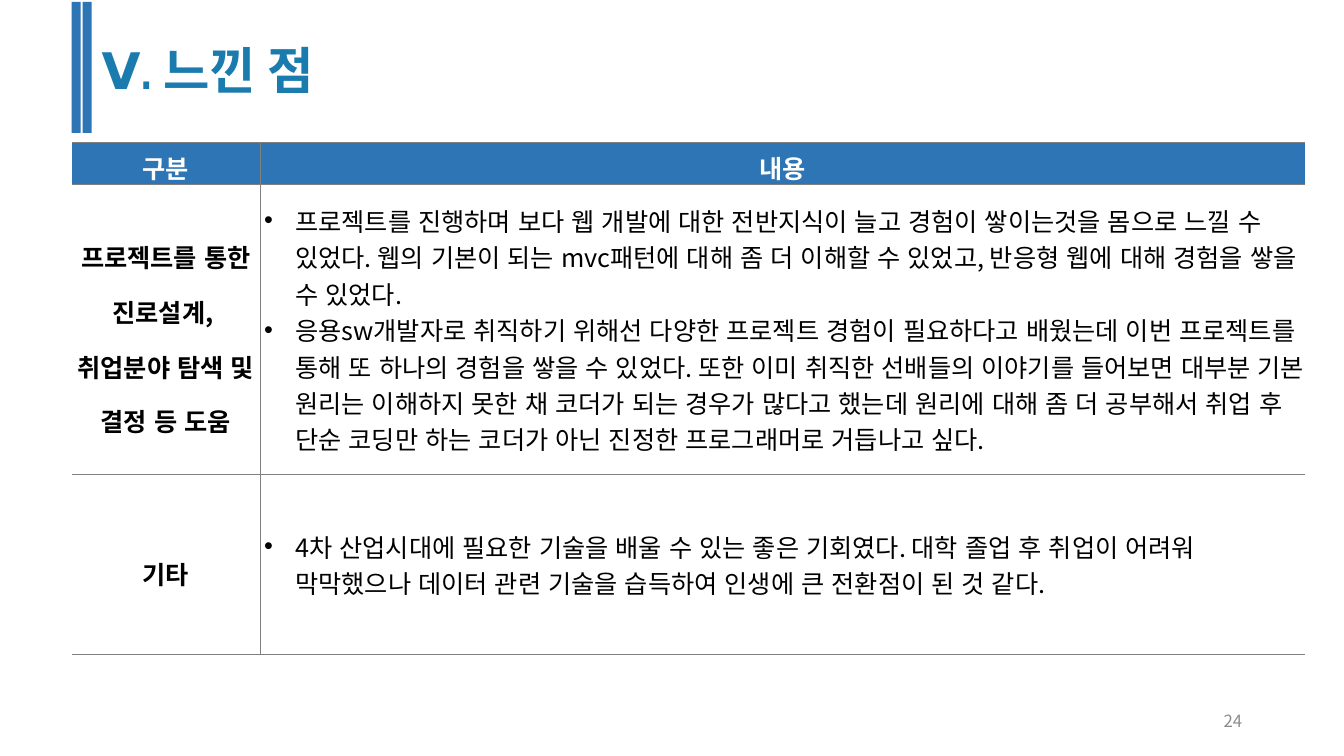
from dataclasses import dataclass

from lxml import etree
from pptx import Presentation
from pptx.dml.color import RGBColor
from pptx.enum.lang import MSO_LANGUAGE_ID
from pptx.enum.shapes import MSO_SHAPE
from pptx.enum.text import MSO_ANCHOR, MSO_AUTO_SIZE, PP_ALIGN
from pptx.oxml.ns import qn
from pptx.util import Inches, Pt

RECT = MSO_SHAPE.RECTANGLE
MIDDLE = MSO_ANCHOR.MIDDLE
GROW = MSO_AUTO_SIZE.SHAPE_TO_FIT_TEXT
CENTER, RIGHT = PP_ALIGN.CENTER, PP_ALIGN.RIGHT
KOREAN = MSO_LANGUAGE_ID.KOREAN


@dataclass(frozen=True)
class Theme:
    head: str = "Arial Narrow"
    body: str = "Noto Sans CJK KR"
    title: str = "1A7BAE"
    blue: str = "2E75B6"
    white: str = "FFFFFF"
    black: str = "000000"
    gray: str = "8C8C8C"
    rule: str = "808080"
    big: int = 36
    mid: int = 18
    small: int = 12
    line: float = 0.5


THEME = Theme()

HEADS = ["구분", "내용"]
ROWS = [
    (
        ["프로젝트를 통한 진로설계, ", "취업분야 탐색 및 결정 등 도움"],
        [
            "프로젝트를 진행하며 보다 웹 개발에 대한 전반지식이 늘고 경험이 쌓이는것을 몸으로 느낄 수 있었다. "
            "웹의 기본이 되는 mvc패턴에 대해 좀 더 이해할 수 있었고, 반응형 웹에 대해 경험을 쌓을 수 있었다.",
            "응용sw개발자로 취직하기 위해선 다양한 프로젝트 경험이 필요하다고 배웠는데 이번 프로젝트를 통해 "
            "또 하나의 경험을 쌓을 수 있었다. 또한 이미 취직한 선배들의 이야기를 들어보면 대부분 기본 원리는 "
            "이해하지 못한 채 코더가 되는 경우가 많다고 했는데 원리에 대해 좀 더 공부해서 취업 후 단순 코딩만 "
            "하는 코더가 아닌 진정한 프로그래머로 거듭나고 싶다.",
        ],
    ),
    (
        ["기타"],
        [
            "4차 산업시대에 필요한 기술을 배울 수 있는 좋은 기회였다. 대학 졸업 후 취업이 어려워 "
            "막막했으나 데이터 관련 기술을 습득하여 인생에 큰 전환점이 된 것 같다.",
        ],
    ),
]


def add_run(para, text, size, color, bold=False, face=THEME.body):
    run = para.add_run()
    run.text = text
    font = run.font
    font.size, font.bold, font.name = Pt(size), bold, face
    font.language_id = KOREAN
    font.color.rgb = RGBColor.from_string(color)
    etree.SubElement(run._r.get_or_add_rPr(), qn("a:ea"), typeface=face)


def add_text(slide, box, text, size, color, bold=False, face=THEME.body):
    shape = slide.shapes.add_textbox(*map(Inches, box))
    frame = shape.text_frame
    frame.word_wrap = True
    add_run(frame.paragraphs[0], text, size, color, bold, face)
    return frame


def add_title(slide, box, text):
    left, top, width, height = box
    for step in range(2):
        bar = slide.shapes.add_shape(
            RECT, Inches(left + step * 0.11), Inches(top), Inches(0.09), Inches(height)
        )
        bar.shadow.inherit = False
        bar.fill.solid()
        bar.fill.fore_color.rgb = RGBColor.from_string(THEME.blue)
        bar.line.fill.background()
    area = (left + 0.2, top + 0.32, width - 0.2, 0.71)
    frame = add_text(slide, area, text, THEME.big, THEME.title, True, THEME.head)
    frame.auto_size = GROW


def set_edges(cell, shown):
    props = cell._tc.get_or_add_tcPr()
    for side in "LRTB":
        edge = etree.SubElement(props, qn("a:ln" + side), w=str(Pt(THEME.line)))
        if side in shown:
            fill = etree.SubElement(edge, qn("a:solidFill"))
            etree.SubElement(fill, qn("a:srgbClr"), val=THEME.rule)
        else:
            etree.SubElement(edge, qn("a:noFill"))


def add_bullet(para):
    props = para._p.get_or_add_pPr()
    props.set("marL", str(Inches(0.31)))
    props.set("indent", str(Inches(-0.31)))
    etree.SubElement(props, qn("a:buFont"), typeface="Arial")
    etree.SubElement(props, qn("a:buChar"), char="•")


def fill_cell(cell, lines, col, head):
    listed = col == 1 and not head
    set_edges(cell, "LTB" if col else "RTB")
    cell.vertical_anchor = MIDDLE
    cell.margin_left = Inches(0.04 if listed else 0)
    cell.margin_right = cell.margin_top = cell.margin_bottom = 0
    if head:
        cell.fill.solid()
        cell.fill.fore_color.rgb = RGBColor.from_string(THEME.blue)
    else:
        cell.fill.background()
    frame = cell.text_frame
    for i, text in enumerate(lines):
        para = frame.add_paragraph() if i else frame.paragraphs[0]
        if listed:
            add_bullet(para)
        else:
            para.alignment = CENTER
            para.line_spacing = 1.2 if head else 1.5
        add_run(para, text, THEME.mid, THEME.white if head else THEME.black, not listed)


def add_grid(slide, box):
    rows = [[[text] for text in HEADS], *ROWS]
    table = slide.shapes.add_table(len(rows), len(HEADS), *map(Inches, box)).table
    table.first_row = table.horz_banding = False
    for col, share in zip(table.columns, (1.87, box[2] - 1.87)):
        col.width = Inches(share)
    for row, tall in zip(table.rows, (0.42, 2.88, box[3] - 3.3)):
        row.height = Inches(tall)
    for r, row in enumerate(rows):
        for c, lines in enumerate(row):
            fill_cell(table.cell(r, c), lines, c, r == 0)


def add_page(slide, box, text):
    frame = add_text(slide, box, text, THEME.small, THEME.gray)
    frame.vertical_anchor = MIDDLE
    frame.paragraphs[0].alignment = RIGHT


def main():
    deck = Presentation()
    deck.slide_width, deck.slide_height = Inches(13.33), Inches(7.5)
    slide = deck.slides.add_slide(deck.slide_layouts[6])
    add_title(slide, (0.71, 0.02, 7.64, 1.3), "Ⅴ. 느낀 점")
    add_grid(slide, (0.71, 1.41, 12.23, 5.08))
    add_page(slide, (9.42, 6.95, 3, 0.4), "24")
    deck.save("out.pptx")


if __name__ == "__main__":
    main()
